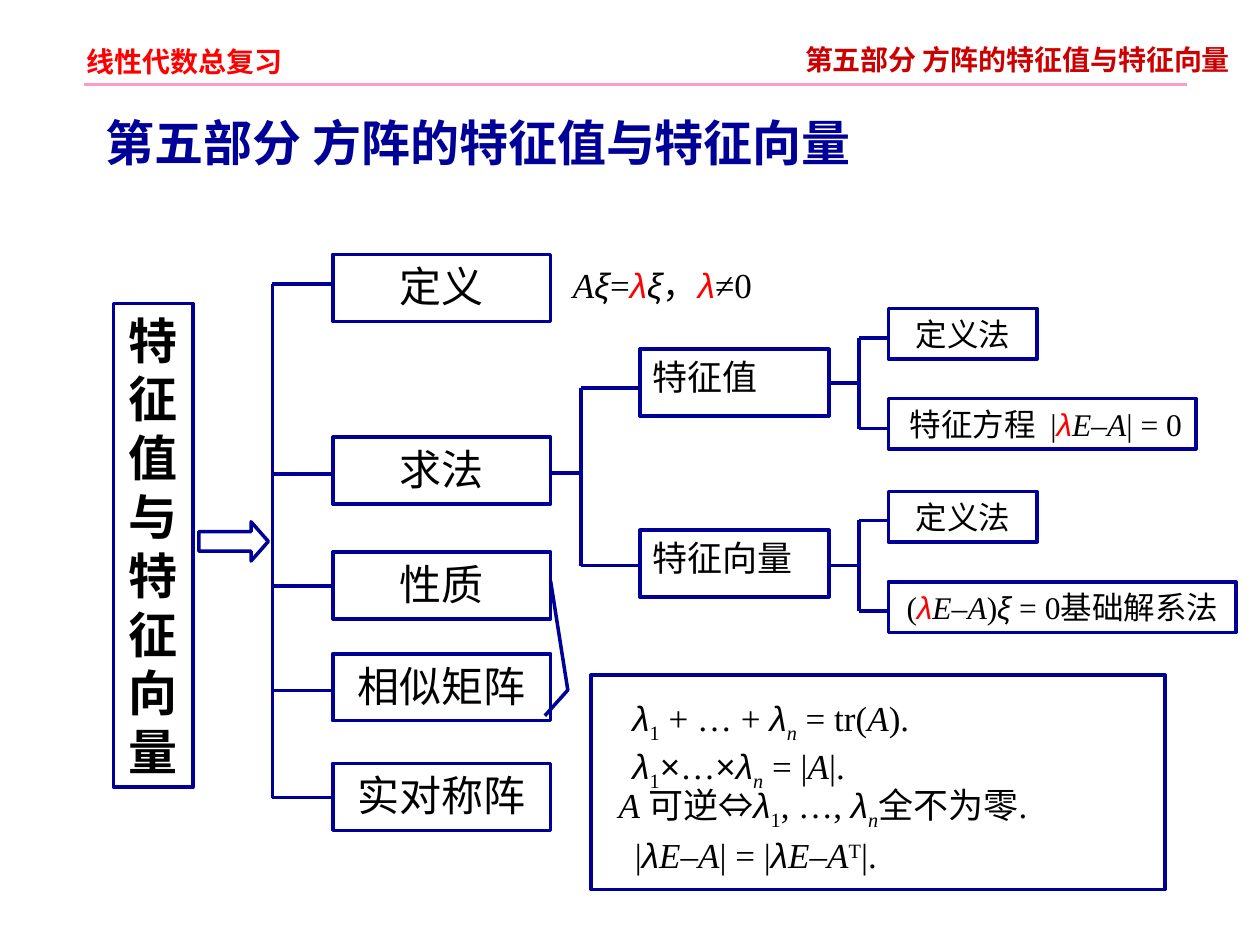
from typing import NamedTuple

import pptx
import pptx.util
from lxml import etree
from pptx.dml.color import RGBColor
from pptx.enum.shapes import MSO_CONNECTOR, MSO_SHAPE
from pptx.enum.text import MSO_ANCHOR, PP_ALIGN
from pptx.oxml.ns import qn
from pptx.util import Cm

NAVY = RGBColor(0x00, 0x00, 0x99)
RED = RGBColor(0xFF, 0x00, 0x00)
DARK_RED = RGBColor(0xCC, 0x00, 0x00)
PINK = RGBColor(0xFF, 0x99, 0xCC)
BLACK = RGBColor(0x00, 0x00, 0x00)
SANS, SERIF, GREEK = "Noto Sans CJK SC", "Times New Roman", "Arial"

# Run styles: font attributes, with the baseline shift kept apart
PLAIN = {"name": SERIF}
ITALIC = {"name": SERIF, "italic": True}
SYMBOL = {"name": GREEK}
LETTER = {"name": GREEK, "italic": True}
HEADING = {"name": SANS, "bold": True}
LABEL = {"name": SANS}
SHIFT = {"sub": "-25000", "sup": "30000"}


class Run(NamedTuple):
    text: str
    style: dict = PLAIN
    color: RGBColor = BLACK
    shift: str = ""


class Box(NamedTuple):
    x: float
    y: float
    w: float
    h: float


class Fork(NamedTuple):
    """A stem from the left, a spine and one branch per level."""
    start: float
    stem: float
    spine: float
    end: float
    levels: tuple


# Recurring pieces of the formulas
LAMBDA = Run("λ", LETTER)
RED_LAMBDA = Run("λ", LETTER, RED)
XI = Run("ξ", LETTER)
A, E, DASH = Run("A", ITALIC), Run("E", ITALIC), Run("–")
LAMBDA_1 = [LAMBDA, Run("1", PLAIN, BLACK, "sub")]
LAMBDA_N = [LAMBDA, Run("n", ITALIC, BLACK, "sub")]
TIMES = Run("×", SYMBOL)


def write(sp, paragraphs: list, size: float, align=PP_ALIGN.LEFT, wrap=True, inset=0.25) -> None:
    tf = sp.text_frame
    frame = {"word_wrap": wrap, "vertical_anchor": MSO_ANCHOR.TOP,
             "margin_left": Cm(inset), "margin_right": Cm(0.25),
             "margin_top": Cm(0.13), "margin_bottom": Cm(0.13)}
    for key, value in frame.items():
        setattr(tf, key, value)
    for i, runs in enumerate(paragraphs):
        p = tf.add_paragraph() if i else tf.paragraphs[0]
        p.alignment = align
        for run in runs:
            r = p.add_run()
            r.text = run.text
            for key, value in {"size": pptx.util.Pt(size), **run.style}.items():
                setattr(r.font, key, value)
            r.font.color.rgb = run.color
            props = r.font._element
            etree.SubElement(props, qn("a:ea")).set("typeface", SANS)
            if run.shift:
                props.set("baseline", SHIFT[run.shift])


def shape(s, kind, box: Box):
    sp = s.shapes.add_shape(kind, *map(Cm, box))
    sp.shadow.inherit = False
    sp.fill.background()
    sp.line.color.rgb = NAVY
    sp.line.width = pptx.util.Pt(2)
    return sp


def framed(s, box: Box, runs: list, size: float, **layout) -> None:
    write(shape(s, MSO_SHAPE.RECTANGLE, box), [runs], size, **layout)


def text(s, box: Box, paragraphs: list, size: float, **layout) -> None:
    write(s.shapes.add_textbox(*map(Cm, box)), paragraphs, size, **layout)


def line(s, x1: float, y1: float, x2: float, y2: float, color=NAVY, width=2.0) -> None:
    c = s.shapes.add_connector(MSO_CONNECTOR.STRAIGHT, Cm(x1), Cm(y1), Cm(x2), Cm(y2))
    c.line.color.rgb = color
    c.line.width = pptx.util.Pt(width)
    etree.SubElement(c._element.spPr, qn("a:effectLst"))


def draw_fork(s, fork: Fork) -> None:
    if fork.start < fork.spine:
        line(s, fork.start, fork.stem, fork.spine, fork.stem)
    line(s, fork.spine, fork.levels[0], fork.spine, fork.levels[-1])
    for y in fork.levels:
        line(s, fork.spine, y, fork.end, y)


TOPIC_X, VALUE_X, LEAF_X = 6.71, 12.9, 17.91
BOX_H, LEAF_H = 1.35, 1.02
TOPICS = [("定义", 5.13), ("求法", 8.81), ("性质", 11.13), ("相似矩阵", 13.18), ("实对称阵", 15.39)]
VALUES = [("特征值", 7.04), ("特征向量", 10.69)]
FORKS = [
    Fork(5.49, 5.72, 5.49, TOPIC_X, (5.72, 9.55, 11.81, 13.92, 16.08)),
    Fork(11.07, 9.53, 11.71, VALUE_X, (7.82, 11.4)),
    Fork(16.69, 7.72, 17.32, LEAF_X, (6.81, 8.64)),
    Fork(16.69, 11.4, 17.32, LEAF_X, (10.49, 12.32)),
]


def main() -> None:
    prs = pptx.Presentation()
    prs.slide_width, prs.slide_height = Cm(25.4), Cm(19.05)
    s = prs.slides.add_slide(prs.slide_layouts[6])
    center = PP_ALIGN.CENTER
    part = "第五部分 方阵的特征值与特征向量"

    # Header and title
    line(s, 1.7, 1.7, 23.93, 1.7, PINK, 1.5)
    text(s, Box(1.5, 0.76, 4.45, 0.94), [[Run("线性代数总复习", HEADING, RED)]], 16, wrap=False)
    text(s, Box(15.98, 0.73, 9.4, 0.94), [[Run(part, HEADING, DARK_RED)]], 16)
    text(s, Box(1.88, 2.13, 16, 1.45), [[Run(part, HEADING, NAVY)]], 28)

    # Root of the tree and its arrow
    framed(s, Box(2.29, 6.12, 1.6, 9.75), [Run("特征值与特征向量", HEADING)], 28, align=center)
    arrow = shape(s, MSO_SHAPE.RIGHT_ARROW, Box(4.01, 10.52, 1.4, 0.79))
    arrow.adjustments[1] = 0.44

    # Topics, values and the branches between them
    for name, y in TOPICS:
        framed(s, Box(TOPIC_X, y, 4.39, BOX_H), [Run(name, LABEL)], 24, align=center)
    for name, y in VALUES:
        framed(s, Box(VALUE_X, y, 3.81, BOX_H), [Run(name)], 20)
    for fork in FORKS:
        draw_fork(s, fork)
    text(s, Box(11.3, 5.18, 4.8, BOX_H),
         [[A, XI, Run("="), RED_LAMBDA, XI, Run("，"), RED_LAMBDA, Run("≠0")]], 20)

    # Methods
    for y in (6.22, 9.91):
        framed(s, Box(LEAF_X, y, 3, LEAF_H), [Run("定义法")], 18, align=center)
    framed(s, Box(LEAF_X, 8.03, 6.2, LEAF_H), [Run("特征方程")], 18, inset=0.43)
    text(s, Box(20.9, 8.03, 3.2, LEAF_H),
         [[Run("|"), RED_LAMBDA, E, DASH, A, Run("| = 0")]], 18, align=center, wrap=False)
    framed(s, Box(LEAF_X, 11.73, 7.01, LEAF_H),
           [Run("("), RED_LAMBDA, E, DASH, A, Run(")"), XI, Run(" = 0基础解系法")],
           18, align=center, wrap=False)

    # Callout with the properties
    callout = shape(s, MSO_SHAPE.LINE_CALLOUT_2, Box(11.91, 13.61, 11.58, 4.32))
    for i, value in enumerate((0.19, -0.08, 0.07, -0.04, -0.44, -0.07)):
        callout.adjustments[i] = value
    text(s, Box(12.5, 13.92, 7.8, 2.18), [
        [*LAMBDA_1, Run(" + … + "), *LAMBDA_N, Run(" = tr("), A, Run(").")],
        [*LAMBDA_1, TIMES, Run("…"), TIMES, *LAMBDA_N, Run(" = |"), A, Run("|.")],
    ], 20)
    text(s, Box(12.22, 15.67, 9.47, 1.22),
         [[Run("A ", ITALIC), Run("可逆"), Run("⇔", SYMBOL), *LAMBDA_1, Run(", …, "),
           *LAMBDA_N, Run("全不为零.")]], 20, wrap=False)
    text(s, Box(12.55, 16.68, 5.82, 1.12),
         [[Run("|"), LAMBDA, E, DASH, A, Run("| = |"), LAMBDA, E, DASH, A,
           Run("T", PLAIN, BLACK, "sup"), Run("|.")]], 20, wrap=False)

    prs.save("out.pptx")


if __name__ == "__main__":
    main()
